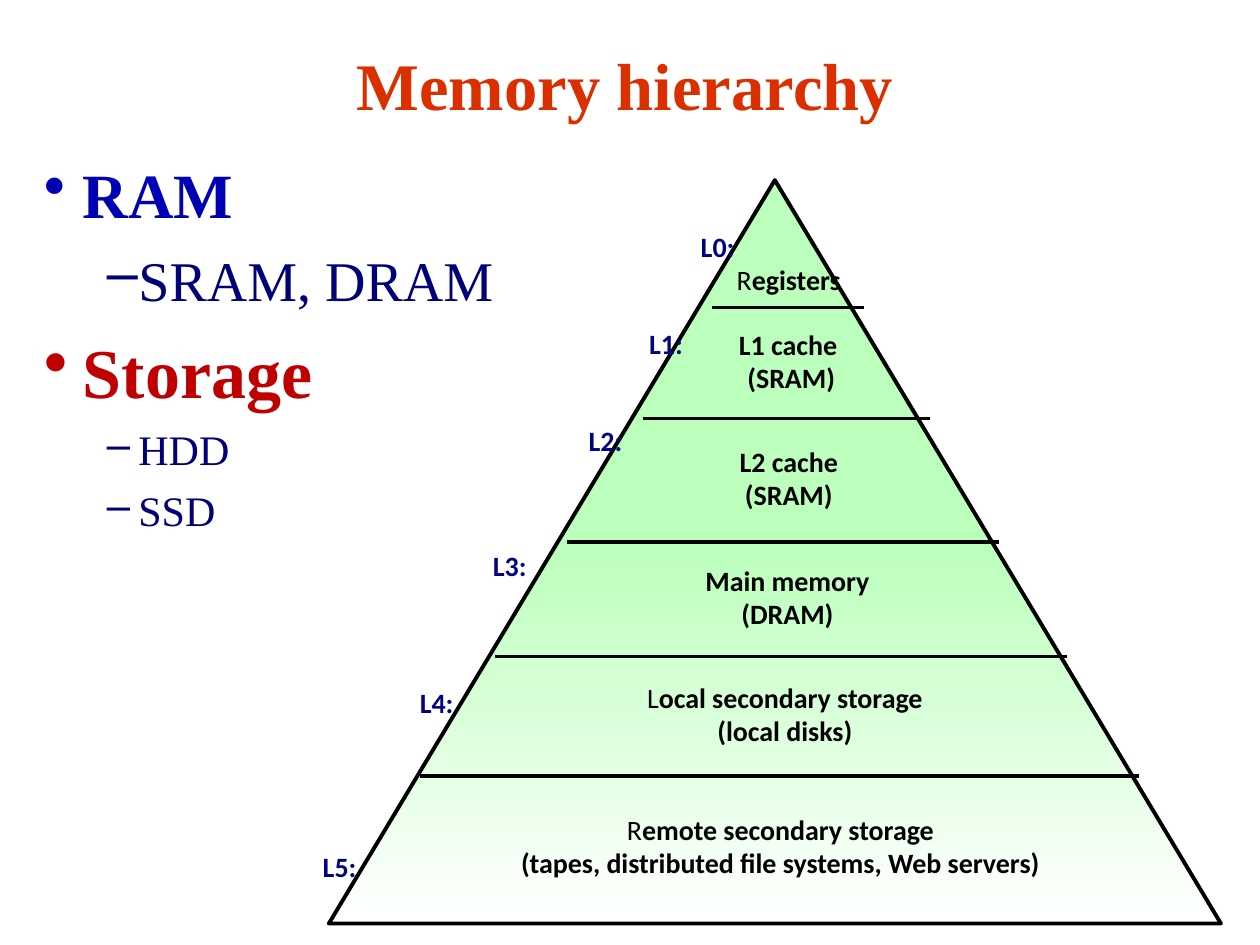
from copy import deepcopy

from lxml import etree
from pptx import Presentation
from pptx.dml.color import RGBColor
from pptx.enum import shapes, text
from pptx.oxml import ns
from pptx.util import Inches, Pt

BLACK = RGBColor(0x00, 0x00, 0x00)
WHITE = RGBColor(0xFF, 0xFF, 0xFF)
ORANGE = RGBColor(0xDC, 0x2F, 0x00)
BLUE = RGBColor(0x00, 0x00, 0xB4)
NAVY = RGBColor(0x00, 0x00, 0x78)
LEVEL_BLUE = RGBColor(0x00, 0x04, 0x82)
RED = RGBColor(0xC0, 0x00, 0x00)
MINT = RGBColor(0xBC, 0xFF, 0xBC)

SERIF = "Times New Roman"
SANS = "Calibri"

TOPICS = [  # wording, level, size, colour
    ("RAM", 0, 36, BLUE),
    ("SRAM, DRAM", 1, 32, NAVY),
    ("Storage", 0, 40, RED),
    ("HDD", 1, 24, NAVY),
    ("SSD", 1, 24, NAVY),
]
BULLETS = [("•", 0.31, 0.31), ("–", 0.75, 0.25)]  # mark, margin, hang

TIERS = [  # lines, left, top, width, whether the initial is light
    (["Registers"], 5.72, 2.04, 1.08, True),
    (["L1 cache", " (SRAM)"], 5.74, 2.56, 1.03, False),
    (["L2 cache", "(SRAM)"], 5.74, 3.49, 1.04, False),
    (["Main memory", "(DRAM)"], 5.47, 4.43, 1.56, False),
    (["Local secondary storage", "(local disks)"], 4.98, 5.36, 2.5, True),
    (["Remote secondary storage",
      "(tapes, distributed file systems, Web servers)"], 3.93, 6.41, 4.53, True),
]
LEVELS = [(5.45, 1.78), (5.04, 2.55), (4.56, 3.32),
          (3.8, 4.31), (3.22, 5.4), (2.45, 6.7)]
DIVIDERS = [(5.65, 6.86, 2.44), (5.1, 7.38, 3.32), (4.5, 7.93, 4.3),
            (3.93, 8.47, 5.21), (3.33, 9.04, 6.16)]  # left, right, height


class SlideBuilder:
    def __init__(self, slide):
        self.slide = slide

    def style(self, run, font, size, color, bold):
        run.font.name = font
        run.font.size = Pt(size)
        run.font.color.rgb = color
        run.font.bold = bold

    def title(self, wording, left, top, width, height):
        title = self.slide.shapes.title
        title.left, title.top = Inches(left), Inches(top)
        title.width, title.height = Inches(width), Inches(height)
        frame = title.text_frame
        frame.text = wording
        frame.vertical_anchor = text.MSO_ANCHOR.MIDDLE
        heading = frame.paragraphs[0]
        heading.alignment = text.PP_ALIGN.CENTER
        heading.line_spacing = 0.9
        self.style(heading.runs[0], SERIF, 38, ORANGE, True)

    def text_frame(self, left, top, width, height, lines):
        box = self.slide.shapes.add_textbox(
            Inches(left), Inches(top), Inches(width), Inches(height))
        frame = box.text_frame
        frame.word_wrap = True
        frame.text = "\n".join(lines)
        return frame

    def topics(self, left, top, width, height, topics):
        frame = self.text_frame(left, top, width, height, [t[0] for t in topics])
        for index, (topic, entry) in enumerate(zip(frame.paragraphs, topics)):
            _, level, size, color = entry
            mark, margin, hang = BULLETS[level]
            properties = topic._p.get_or_add_pPr()
            properties.set("marL", str(Inches(margin)))
            properties.set("indent", str(-Inches(hang)))
            etree.SubElement(properties, ns.qn("a:buChar")).set("char", mark)
            topic.level = level
            topic.line_spacing = 0.9
            if index:
                topic.space_before = Pt(round(0.36 * size))
            self.style(topic.runs[0], SERIF, size, color, level == 0)

    def label(self, lines, left, top, width, color, light_initial=False):
        height = 0.37 if len(lines) == 1 else 0.63
        frame = self.text_frame(left, top, width, height, lines)
        frame.vertical_anchor = text.MSO_ANCHOR.MIDDLE
        frame.auto_size = text.MSO_AUTO_SIZE.SHAPE_TO_FIT_TEXT
        if light_initial:
            first = frame.paragraphs[0]
            first.text = lines[0][0]
            first.add_run().text = lines[0][1:]
        for line in frame.paragraphs:
            line.alignment = text.PP_ALIGN.CENTER
            line.line_spacing = 0.98
            for run in line.runs:
                self.style(run, SANS, 16, color, True)
        if light_initial:
            first.runs[0].font.bold = False

    def pyramid(self, left, top, width, height):
        pyramid = self.slide.shapes.add_shape(
            shapes.MSO_SHAPE.ISOSCELES_TRIANGLE,
            Inches(left), Inches(top), Inches(width), Inches(height))
        pyramid.shadow.inherit = False
        pyramid.line.color.rgb = BLACK
        pyramid.line.width = Pt(2.25)
        fill = pyramid.fill
        fill.gradient()
        fill.gradient_angle = 270
        first_stop = fill.gradient_stops[0]._gs
        first_stop.addnext(deepcopy(first_stop))
        stops = [(0, MINT), (0.49, MINT), (1, WHITE)]
        for stop, (position, color) in zip(fill.gradient_stops, stops):
            stop.position = position
            stop.color.rgb = color

    def divider(self, left, right, height):
        line = self.slide.shapes.add_connector(
            shapes.MSO_CONNECTOR.STRAIGHT,
            Inches(left), Inches(height), Inches(right), Inches(height))
        line.line.color.rgb = BLACK
        line.line.width = Pt(2)
        etree.SubElement(line._element.spPr, ns.qn("a:effectLst"))


def main():
    deck = Presentation()
    deck.slide_width, deck.slide_height = Inches(10), Inches(7.5)
    builder = SlideBuilder(deck.slides.add_slide(deck.slide_layouts[5]))

    builder.title("Memory hierarchy", 0.25, 0.33, 9.42, 0.75)
    builder.topics(0.25, 1.25, 9.42, 5.67, TOPICS)
    builder.pyramid(2.61, 1.43, 7.08, 5.9)
    for lines, left, top, width, light_initial in TIERS:
        builder.label(lines, left, top, width, BLACK, light_initial)
    for number, (left, top) in enumerate(LEVELS):
        builder.label([f"L{number}:"], left, top, 0.49, LEVEL_BLUE)
    for left, right, height in DIVIDERS:
        builder.divider(left, right, height)

    deck.save("out.pptx")


if __name__ == "__main__":
    main()
